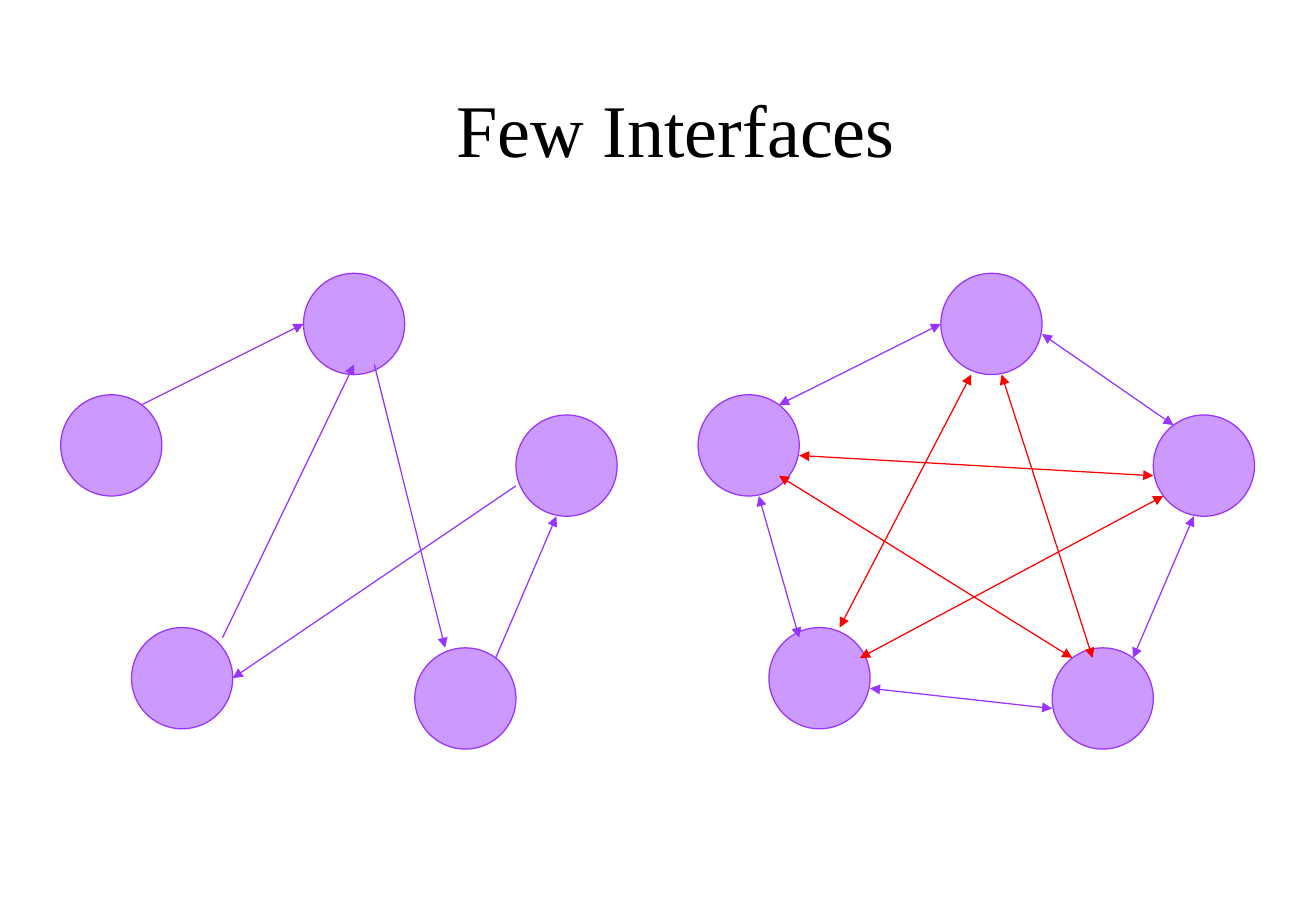
from dataclasses import dataclass

from lxml import etree
from pptx import Presentation
from pptx import util as u
from pptx.dml.color import RGBColor
from pptx.enum import shapes, text
from pptx.oxml.ns import qn

WIDTH, HEIGHT = 10.84, 7.5
CELLS_PER_INCH = 12
NODE_SIZE = 10
LILAC, VIOLET, RED, BLACK = "CC99FF", "9933FF", "FF0000", "000000"


@dataclass(frozen=True)
class Link:
    """An arrow between two grid points, counted from the network's left."""
    start: tuple[int, int]
    end: tuple[int, int]
    color: str = VIOLET


@dataclass(frozen=True)
class Network:
    column: int
    links: tuple[Link, ...]
    two_way: bool


# Column and row of each module's top left corner, shared by both networks
NODES = ((0, 39), (7, 62), (24, 27), (45, 41), (35, 64))

MANY_INTERFACES = Network(69, (
    Link((6, 49), (10, 63)),
    Link((17, 68), (35, 70)),
    Link((43, 65), (49, 51)),
    Link((8, 40), (24, 32)),
    Link((34, 33), (47, 42)),
    Link((10, 45), (45, 47), RED),
    Link((8, 47), (37, 65), RED),
    Link((27, 37), (14, 62), RED),
    Link((30, 37), (39, 65), RED),
    Link((16, 65), (46, 49), RED),
), two_way=True)

FEW_INTERFACES = Network(6, (
    Link((45, 48), (17, 67)),
    Link((16, 63), (29, 36)),
    Link((43, 65), (49, 51)),
    Link((8, 40), (24, 32)),
    Link((31, 36), (38, 64)),
), two_way=False)


def rgb(value: str) -> RGBColor:
    return RGBColor.from_string(value)


def grid(cells: int) -> u.Length:
    return u.Inches(cells / CELLS_PER_INCH)


def apply(target, values: dict) -> None:
    for name, value in values.items():
        setattr(target, name, value)


def style_line(line, color: str) -> None:
    line.color.rgb = rgb(color)
    line.width = u.Pt(0.75)


def draw_node(canvas, column: int, row: int) -> None:
    node = canvas.add_shape(shapes.MSO_SHAPE.OVAL, grid(column), grid(row),
                            grid(NODE_SIZE), grid(NODE_SIZE))
    node.shadow.inherit = False
    node.fill.solid()
    node.fill.fore_color.rgb = rgb(LILAC)
    style_line(node.line, VIOLET)


def draw_link(canvas, column: int, link: Link, two_way: bool) -> None:
    (x1, y1), (x2, y2) = link.start, link.end
    arrow = canvas.add_connector(shapes.MSO_CONNECTOR.STRAIGHT,
                                 grid(column + x1), grid(y1),
                                 grid(column + x2), grid(y2))
    style_line(arrow.line, link.color)
    outline = arrow.line._get_or_add_ln()
    for tag in ("a:headEnd", "a:tailEnd") if two_way else ("a:tailEnd",):
        etree.SubElement(outline, qn(tag), type="triangle")
    etree.SubElement(arrow._element.spPr, qn("a:effectLst"))


def draw_network(canvas, network: Network) -> None:
    for column, row in NODES:
        draw_node(canvas, network.column + column, row)
    for link in network.links:
        draw_link(canvas, network.column, link, network.two_way)


def write_title(page, wording: str) -> None:
    title = page.shapes.title
    apply(title, {"left": u.Inches(WIDTH * 0.0886), "top": u.Inches(HEIGHT / 15),
                  "width": u.Inches(WIDTH * 0.85), "height": u.Inches(HEIGHT * 0.147)})
    apply(title.text_frame, {"text": wording, "word_wrap": True,
                             "vertical_anchor": text.MSO_ANCHOR.MIDDLE})
    para = title.text_frame.paragraphs[0]
    para.alignment = text.PP_ALIGN.CENTER
    span = para.runs[0]
    apply(span.font, {"name": "Times New Roman", "size": u.Pt(44)})
    span.font.color.rgb = rgb(BLACK)


def main() -> None:
    deck = Presentation()
    apply(deck, {"slide_width": u.Inches(WIDTH), "slide_height": u.Inches(HEIGHT)})
    page = deck.slides.add_slide(deck.slide_layouts[5])

    # Title
    write_title(page, "Few Interfaces")

    # Fully connected network on the right, kept together as a group
    draw_network(page.shapes.add_group_shape().shapes, MANY_INTERFACES)

    # Sparse network on the left
    draw_network(page.shapes, FEW_INTERFACES)

    deck.save("out.pptx")


if __name__ == "__main__":
    main()
